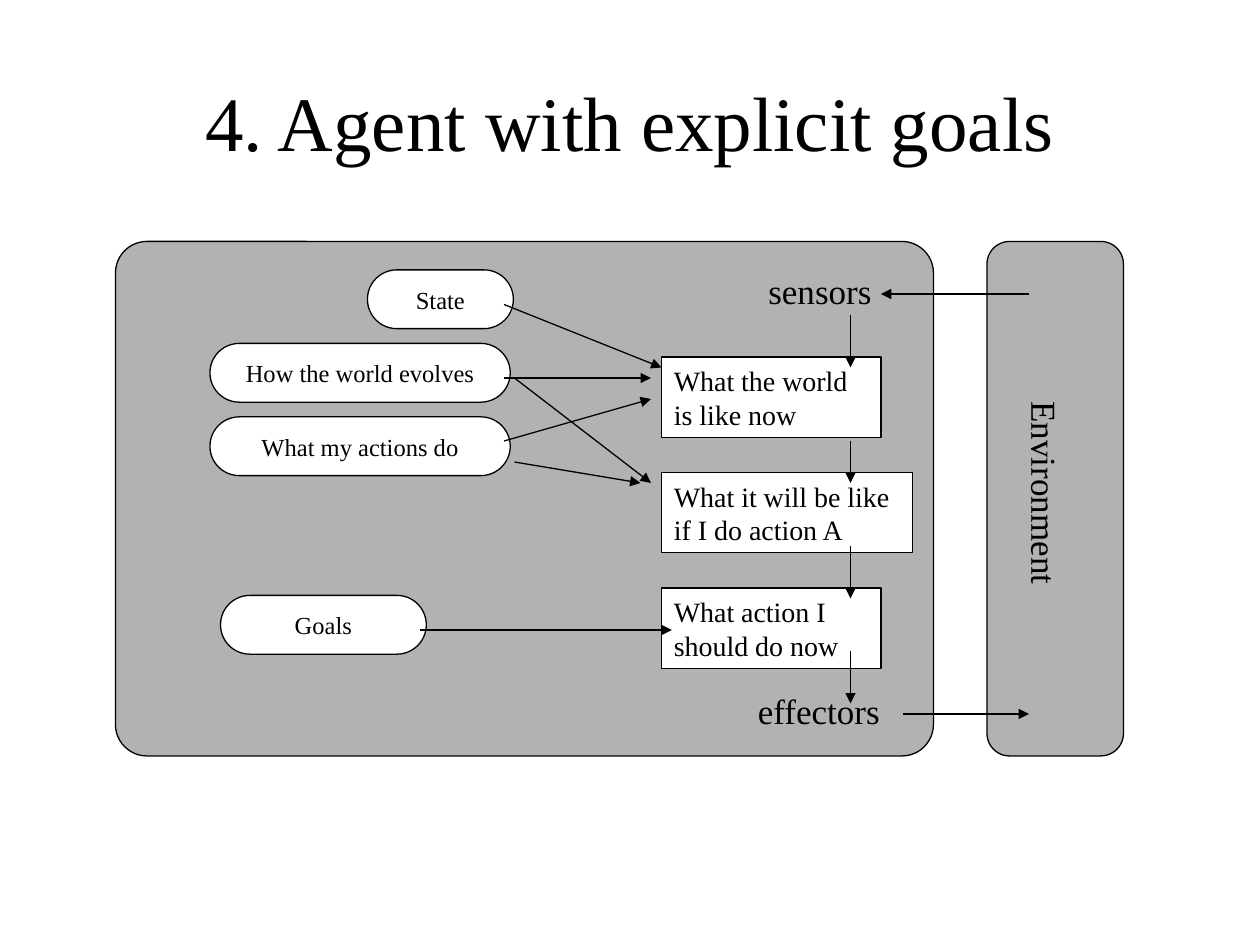
from dataclasses import dataclass

from lxml import etree
from pptx import Presentation
from pptx import util as u
from pptx.dml.color import RGBColor
from pptx.enum import shapes, text
from pptx.oxml.ns import qn


@dataclass(frozen=True)
class Theme:
    """Colours, font and sizes in points."""
    ink: RGBColor = RGBColor(0x00, 0x00, 0x00)
    panel: RGBColor = RGBColor(0xB2, 0xB2, 0xB2)
    paper: RGBColor = RGBColor(0xFF, 0xFF, 0xFF)
    font: str = "Times New Roman"
    title: int = 44
    label: int = 20
    step: int = 16
    knowledge: int = 14
    line: float = 0.75


@dataclass(frozen=True)
class Box:
    """A rectangle in cells of a grid with 120 columns and 90 rows."""
    left: float
    top: float
    width: float
    height: float

    def inner(self, column, row, width, height):
        """Return a box offset from this box's top left corner."""
        return Box(self.left + column, self.top + row, width, height)

    def emu(self):
        """Return left, top, width and height as lengths."""
        return [cells(value) for value in (self.left, self.top, self.width, self.height)]


THEME = Theme()
COLUMNS, ROWS = 120, 90
CELL = u.Inches(10) / COLUMNS
PILL_HEIGHT, STEP_HEIGHT, LABEL_HEIGHT = 5.6, 7.65, 5.3
LEFT, CENTER = text.PP_ALIGN.LEFT, text.PP_ALIGN.CENTER


def cells(count):
    """Convert grid cells to a length."""
    return u.Emu(round(count * CELL))


def write(shape, words, size, align=LEFT, wrap=True):
    """Set and format the text of a shape."""
    frame = shape.text_frame
    frame.text = words
    frame.word_wrap = wrap
    frame.auto_size = text.MSO_AUTO_SIZE.NONE
    frame.vertical_anchor = text.MSO_ANCHOR.MIDDLE
    paragraph = frame.paragraphs[0]
    paragraph.alignment = align
    font = paragraph.runs[0].font
    font.name, font.size = THEME.font, u.Pt(size)
    font.color.rgb = THEME.ink


def add_block(slide, box, fill, radius=0):
    """Add an outlined rectangle whose corner radius is in cells."""
    kinds = shapes.MSO_SHAPE
    kind = kinds.ROUNDED_RECTANGLE if radius else kinds.RECTANGLE
    shape = slide.shapes.add_shape(kind, *box.emu())
    if radius:
        shape.adjustments[0] = radius / min(box.width, box.height)
    shape.shadow.inherit = False
    shape.fill.solid()
    shape.fill.fore_color.rgb = fill
    shape.line.color.rgb = THEME.ink
    shape.line.width = u.Pt(THEME.line)
    return shape


def add_label(slide, box, words, wrap=False):
    """Add a plain text label."""
    label = slide.shapes.add_textbox(*box.emu())
    write(label, words, THEME.label, wrap=wrap)
    return label


def add_arrow(slide, box, start, end):
    """Add an arrow between two points given relative to a box."""
    points = [cells(value) for x, y in (start, end)
              for value in (box.left + x, box.top + y)]
    arrow = slide.shapes.add_connector(shapes.MSO_CONNECTOR.STRAIGHT, *points)
    arrow.line.color.rgb = THEME.ink
    arrow.line.width = u.Pt(THEME.line)
    properties = arrow.element.spPr
    etree.SubElement(properties.find(qn("a:ln")), qn("a:tailEnd"), type="triangle")
    etree.SubElement(properties, qn("a:effectLst"))


def add_title(slide, box):
    """Place and format the title placeholder."""
    title = slide.shapes.title
    title.left, title.top, title.width, title.height = box.emu()
    write(title, "4. Agent with explicit goals", THEME.title, CENTER)


def add_knowledge(slide, box):
    """Add the rounded boxes for what the agent knows."""
    items = [
        ("State", 24, 2.7, 13.9),
        ("How the world evolves", 9, 9.7, 28.6),
        ("What my actions do", 9, 16.7, 28.6),
        ("Goals", 10, 33.7, 19.6),
    ]
    for words, column, row, width in items:
        pill = add_block(slide, box.inner(column, row, width, PILL_HEIGHT),
                         THEME.paper, PILL_HEIGHT / 2)
        write(pill, words, THEME.knowledge, CENTER)


def add_steps(slide, box):
    """Add the column of decision steps at an equal pitch."""
    steps = [
        ("What the world is like now", 20.9),
        ("What it will be like if I do action A", 23.9),
        ("What action I should do now", 20.9),
    ]
    for index, (words, width) in enumerate(steps):
        step = add_block(slide, box.inner(52, 11 + 11 * index, width, STEP_HEIGHT),
                         THEME.paper)
        write(step, words, THEME.step)


def add_agent(slide, box):
    """Add the agent panel with its knowledge, steps and inner arrows."""
    add_block(slide, box, THEME.panel, 3)
    add_label(slide, box.inner(61, 2, 12.2, LABEL_HEIGHT), "sensors")
    add_label(slide, box.inner(60, 42, 16, LABEL_HEIGHT), "effectors", wrap=True)
    add_knowledge(slide, box)
    add_steps(slide, box)
    for top, bottom in [(7, 12), (19, 23), (29, 34), (39, 44)]:
        add_arrow(slide, box, (70, top), (70, bottom))
    links = [
        ((37, 6), (52, 12)),
        ((37, 13), (51, 13)),
        ((37, 19), (51, 15)),
        ((38, 13), (51, 23)),
        ((38, 21), (50, 23)),
        ((29, 37), (53, 37)),
    ]
    for start, end in links:
        add_arrow(slide, box, start, end)


def add_environment(slide, box):
    """Add the environment panel, its turned label and arrows to the agent."""
    add_block(slide, box, THEME.panel, 2.15)
    label = add_label(slide, box.inner(-4.35, 21.3, 19.8, LABEL_HEIGHT), "Environment")
    label.rotation = 90
    add_arrow(slide, box, (4, 5), (-10.1, 5))
    add_arrow(slide, box, (-8, 45), (4, 45))


def main():
    """Build and save the slide."""
    presentation = Presentation()
    presentation.slide_width = cells(COLUMNS)
    presentation.slide_height = cells(ROWS)
    slide = presentation.slides.add_slide(presentation.slide_layouts[5])
    add_title(slide, Box(9, 4, 102, 15))
    add_agent(slide, Box(11, 23, 77.9, 49))
    add_environment(slide, Box(94, 23, 13, 49))
    presentation.save("out.pptx")


if __name__ == "__main__":
    main()
